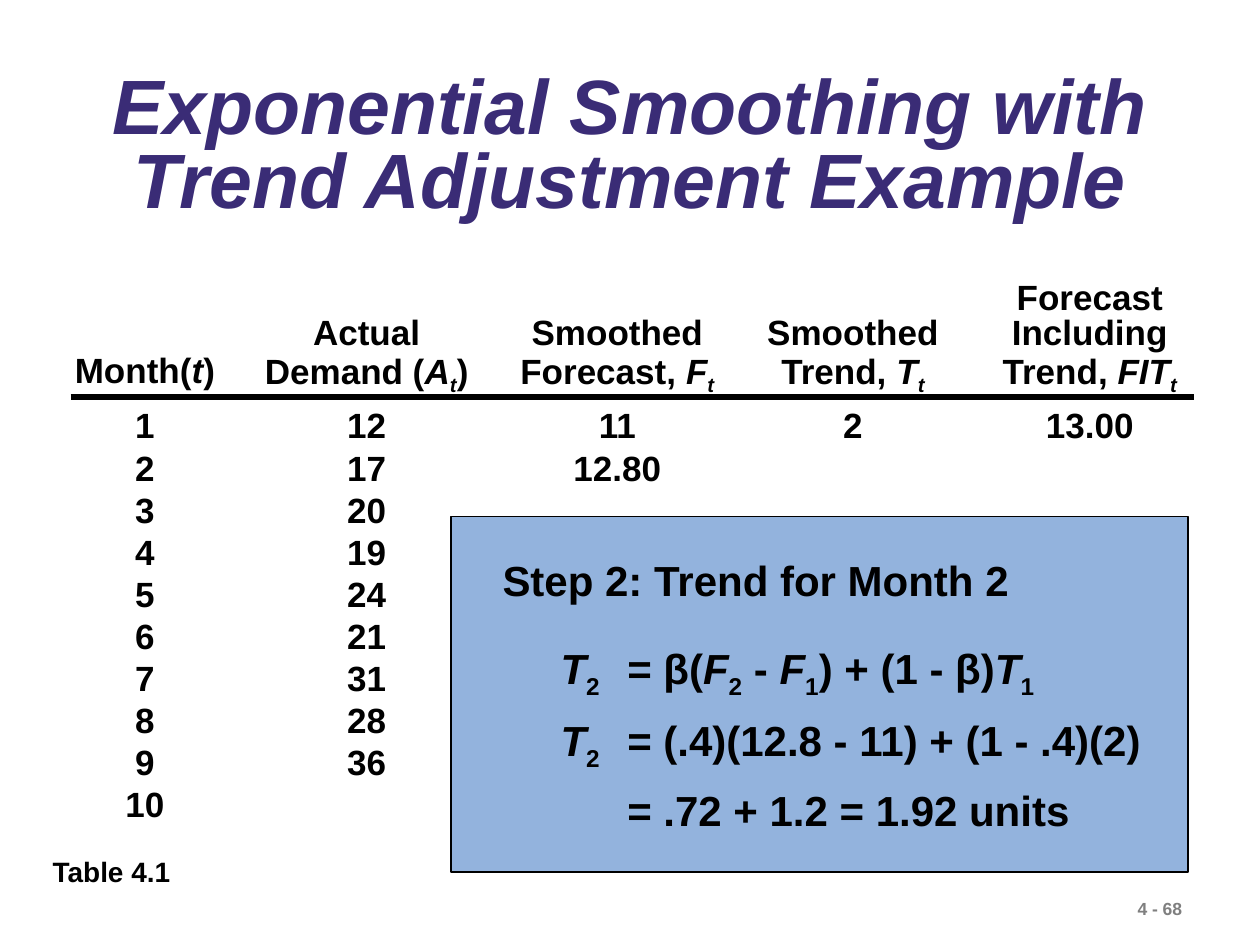
from typing import NamedTuple

from lxml.etree import SubElement
from pptx import Presentation
from pptx.dml.color import RGBColor
from pptx.enum.shapes import MSO_CONNECTOR, MSO_SHAPE
from pptx.enum.text import MSO_ANCHOR as Anchor, MSO_AUTO_SIZE as AutoSize, PP_ALIGN as Align
from pptx.oxml.ns import qn
from pptx.util import Inches, Pt

UNIT = Inches(0.1)  # the slide is a grid of 100 columns by 75 rows
COLUMNS, ROWS = 100, 75

PURPLE = RGBColor(0x3A, 0x2C, 0x76)
BLACK = RGBColor(0x00, 0x00, 0x00)
GRAY = RGBColor(0x7F, 0x7F, 0x7F)
BLUE = RGBColor(0x93, 0xB3, 0xDD)

SUBSCRIPT = "-25000"


class Area(NamedTuple):
    left: float
    top: float
    width: float
    height: float

    def emu(self) -> list[int]:
        return [round(length * UNIT) for length in self]


class Part(NamedTuple):
    text: str
    italic: bool = False
    subscript: bool = False


class Label(NamedTuple):
    area: Area
    lines: list[list[Part]]
    size: int
    color: RGBColor = BLACK
    spacing: float = 1.0
    tab: float = 0


class Column(NamedTuple):
    width: float
    header: list[list[Part]]
    values: list[str]
    header_gap: float = 1.05


def plain(text: str) -> list[Part]:
    return [Part(text)]


def variable(name: str, index: str, italic_index: bool = False) -> list[Part]:
    return [Part(name, italic=True), Part(index, italic_index, subscript=True)]


MONTH_COUNT = 10
DEMAND = ["12", "17", "20", "19", "24", "21", "31", "28", "36"]
TABLE_LEFT, TABLE_TOP = 5.6, 21.4
HEADER_HEIGHT, MONTH_HEIGHT = 10.8, 3.33
RULE_TOP = 31.5

FORECAST_COLUMNS = [
    Column(11.8, [[Part("Month("), Part("t", italic=True), Part(")")]],
           [str(month + 1) for month in range(MONTH_COUNT)], header_gap=1.2),
    Column(23.4, [plain("Actual"),
                  [Part("Demand ("), *variable("A", "t", True), Part(")")]], DEMAND),
    Column(16.4, [plain("Smoothed"), [Part("Forecast, "), *variable("F", "t", True)]],
           ["11", "12.80"]),
    Column(21, [plain("Smoothed"), [Part("Trend, "), *variable("T", "t", True)]], ["2"]),
    Column(16.6, [plain("Forecast"), plain("Including"),
                  [Part("Trend, "), *variable("FIT", "t", True)]], ["13.00"]),
]

TITLE = Label(Area(5.1, 4.7, 89.9, 14.3),
              [[Part("Exponential Smoothing with Trend Adjustment Example", italic=True)]],
              44, PURPLE, 0.8)
PAGE_NUMBER = Label(Area(89.3, 70.8, 10.7, 2.7), [plain("4 - 68")], 10, GRAY)
TABLE_NAME = Label(Area(3.2, 67.3, 11.5, 3.7), [plain("Table 4.1")], 16)
STEP_PANEL = Area(35.8, 41, 58.5, 28.2)
STEP_NAME = Label(Area(38.9, 43.5, 42.3, 5), [plain("Step 2: Trend for Month 2")], 24)
STEP_EQUATIONS = Label(
    Area(43.5, 49.4, 48.2, 17.4),
    [
        [*variable("T", "2"), Part("\t= β("), *variable("F", "2"), Part(" - "),
         *variable("F", "1"), Part(") + (1 - β)"), *variable("T", "1")],
        [*variable("T", "2"), Part("\t= (.4)(12.8 - 11) + (1 - .4)(2)")],
        plain("\t= .72 + 1.2 = 1.92 units"),
    ],
    24, spacing=1.25, tab=5.3)


def write(frame, lines: list[list[Part]], size: int, color: RGBColor = BLACK,
          spacing: float = 1.0, align: Align = Align.LEFT, tab: float = 0) -> None:
    for number, parts in enumerate(lines):
        paragraph = frame.add_paragraph() if number else frame.paragraphs[0]
        if tab:
            tabs = SubElement(paragraph._p.get_or_add_pPr(), qn("a:tabLst"))
            SubElement(tabs, qn("a:tab"), pos=str(round(tab * UNIT)), algn="l")
        paragraph.alignment = align
        paragraph.line_spacing = spacing
        for part in parts:
            run = paragraph.add_run()
            run.text = part.text
            font_format = {"name": "Arial", "size": Pt(size), "bold": True,
                           "italic": part.italic}
            for attribute, value in font_format.items():
                setattr(run.font, attribute, value)
            run.font.color.rgb = color
            if part.subscript:
                run._r.get_or_add_rPr().set("baseline", SUBSCRIPT)


def add_title(slide, title: Label) -> None:
    frame = slide.shapes.add_textbox(*title.area.emu()).text_frame
    frame.word_wrap = True
    frame.vertical_anchor = Anchor.MIDDLE
    write(frame, title.lines, title.size, title.color, title.spacing, Align.CENTER)


def add_label(slide, label: Label) -> None:
    frame = slide.shapes.add_textbox(*label.area.emu()).text_frame
    frame.word_wrap = False
    frame.auto_size = AutoSize.SHAPE_TO_FIT_TEXT
    write(frame, label.lines, label.size, label.color, label.spacing, tab=label.tab)


def format_cell(cell, anchor: Anchor, bottom: float = 0) -> None:
    cell.fill.background()
    cell_format = {"margin_left": 0, "margin_right": 0, "margin_top": 0,
                   "margin_bottom": round(bottom * UNIT), "vertical_anchor": anchor}
    for attribute, value in cell_format.items():
        setattr(cell, attribute, value)


def add_forecast_table(slide, columns: list[Column]) -> None:
    area = Area(TABLE_LEFT, TABLE_TOP, sum(column.width for column in columns),
                HEADER_HEIGHT + MONTH_COUNT * MONTH_HEIGHT)
    table = slide.shapes.add_table(MONTH_COUNT + 1, len(columns), *area.emu()).table
    table.first_row = table.horz_banding = False
    for number, row in enumerate(table.rows):
        row.height = round((MONTH_HEIGHT if number else HEADER_HEIGHT) * UNIT)
    for number, column in enumerate(columns):
        table.columns[number].width = round(column.width * UNIT)
        header = table.cell(0, number)
        format_cell(header, Anchor.BOTTOM, column.header_gap)
        write(header.text_frame, column.header, 20, spacing=0.9, align=Align.CENTER)
        for month in range(MONTH_COUNT):
            cell = table.cell(month + 1, number)
            format_cell(cell, Anchor.MIDDLE)
            value = column.values[month] if month < len(column.values) else ""
            write(cell.text_frame, [plain(value)], 20, align=Align.CENTER)


def add_header_rule(slide) -> None:
    right = TABLE_LEFT + sum(column.width for column in FORECAST_COLUMNS)
    ends = [round(length * UNIT) for length in (TABLE_LEFT, RULE_TOP, right, RULE_TOP)]
    rule = slide.shapes.add_connector(MSO_CONNECTOR.STRAIGHT, *ends)
    rule.line.color.rgb = BLACK
    rule.line.width = Pt(3)
    SubElement(rule._element.spPr, qn("a:effectLst"))


def add_panel(slide, area: Area) -> None:
    panel = slide.shapes.add_shape(MSO_SHAPE.RECTANGLE, *area.emu())
    panel.shadow.inherit = False
    panel.fill.solid()
    panel.fill.fore_color.rgb = BLUE
    panel.line.color.rgb = BLACK
    panel.line.width = Pt(0.75)


def main() -> None:
    presentation = Presentation()
    presentation.slide_width = COLUMNS * UNIT
    presentation.slide_height = ROWS * UNIT
    slide = presentation.slides.add_slide(presentation.slide_layouts[6])
    add_label(slide, PAGE_NUMBER)
    add_title(slide, TITLE)
    add_forecast_table(slide, FORECAST_COLUMNS)
    add_header_rule(slide)
    add_label(slide, TABLE_NAME)
    add_panel(slide, STEP_PANEL)
    add_label(slide, STEP_EQUATIONS)
    add_label(slide, STEP_NAME)
    presentation.save("out.pptx")


if __name__ == "__main__":
    main()
